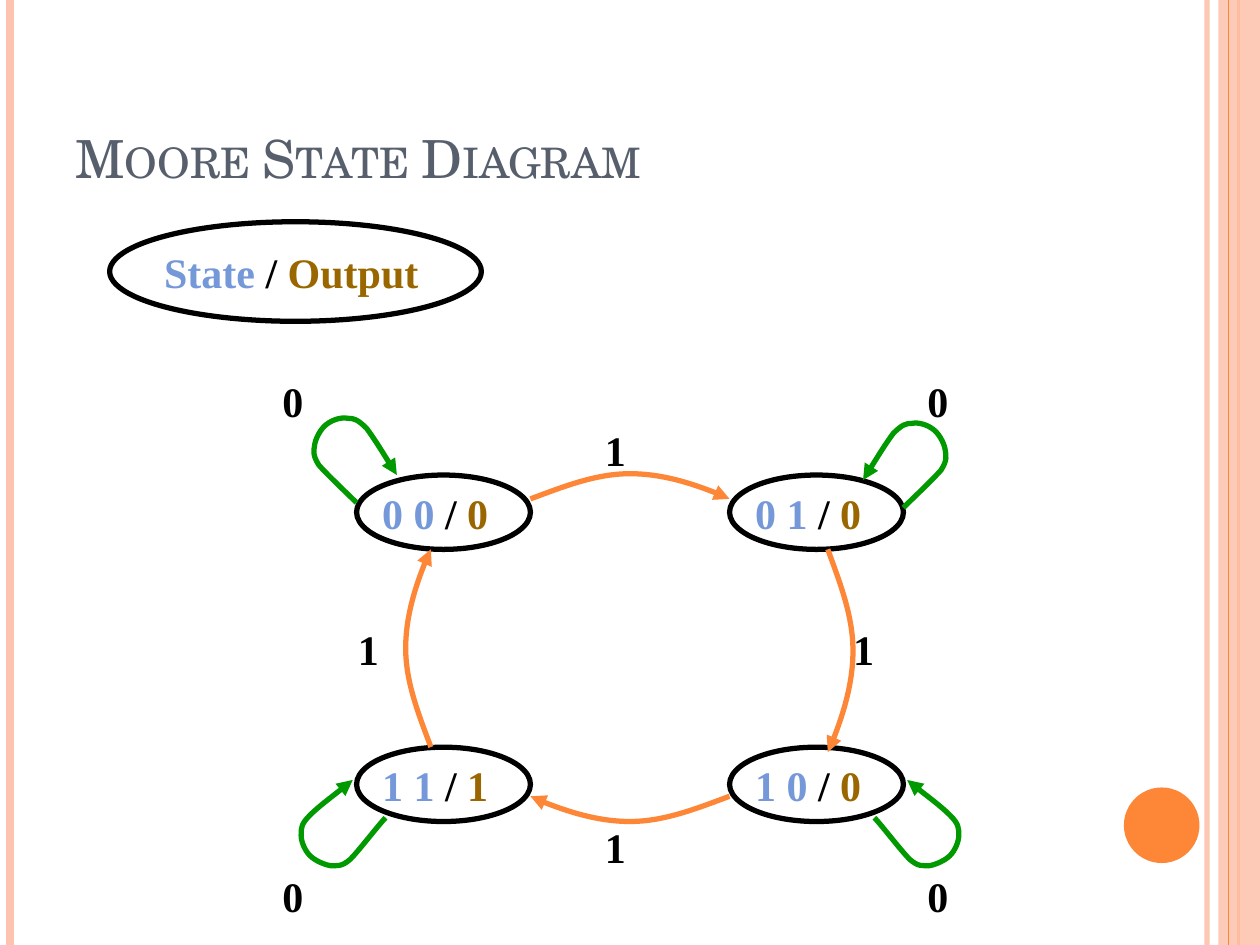
from math import hypot

from lxml.etree import SubElement
from pptx import Presentation
from pptx.dml.color import RGBColor
from pptx.enum.shapes import MSO_CONNECTOR, MSO_SHAPE
from pptx.enum.text import MSO_ANCHOR, PP_ALIGN
from pptx.oxml.ns import qn
from pptx.util import Inches, Pt

ORANGE = RGBColor(0xFE, 0x86, 0x37)
PEACH = RGBColor(0xFE, 0xC3, 0xAE)
SLATE = RGBColor(0x57, 0x5F, 0x6D)
BLUE = RGBColor(0x75, 0x98, 0xD9)
BROWN = RGBColor(0x99, 0x66, 0x00)
GREEN = RGBColor(0x00, 0x99, 0x00)
BLACK = RGBColor(0x00, 0x00, 0x00)

TITLE_FONT = "TeX Gyre Schola"
BODY_FONT = "Times New Roman"

# Loop curves at the left states: start point, then three points per Bezier
TOP_LOOP = [
    (0.59, 1.01), (0.54, 0.96), (0.35, 0.78), (0.29, 0.71), (0.24, 0.63),
    (0.25, 0.6), (0.26, 0.54), (0.27, 0.49), (0.31, 0.42), (0.35, 0.39),
    (0.4, 0.35), (0.47, 0.33), (0.52, 0.34), (0.57, 0.34), (0.6, 0.35),
    (0.67, 0.42), (0.73, 0.5), (0.86, 0.71), (0.91, 0.79),
]
BOTTOM_LOOP = [
    (0.82, 3.51), (0.77, 3.56), (0.61, 3.77), (0.54, 3.84), (0.47, 3.9),
    (0.44, 3.89), (0.38, 3.89), (0.33, 3.88), (0.26, 3.85), (0.22, 3.81),
    (0.18, 3.77), (0.15, 3.7), (0.15, 3.65), (0.15, 3.59), (0.15, 3.56),
    (0.22, 3.49), (0.29, 3.42), (0.49, 3.27), (0.56, 3.21),
]
# Arc points as (share of the chord, share of the bulge)
ARC = [(0, 0), (0.17, 0.5), (0.33, 1), (0.5, 1), (0.67, 1), (0.92, 0.33), (1, 0)]


def set_opacity(element, percent):
    color = next(element.iter(qn("a:srgbClr")))
    SubElement(color, qn("a:alpha"), val=str(percent * 1000))


def add_stripe(slide, x, height, color, width, opacity=None):
    line = slide.shapes.add_connector(
        MSO_CONNECTOR.STRAIGHT, Inches(x), 0, Inches(x), Inches(height))
    line.line.color.rgb = color
    line.line.width = Pt(width)
    properties = line._element.spPr
    if opacity:
        set_opacity(properties, opacity)
    SubElement(properties, qn("a:effectLst"))


def add_solid(slide, kind, left, top, width, height, color):
    shape = slide.shapes.add_shape(
        kind, Inches(left), Inches(top), Inches(width), Inches(height))
    shape.shadow.inherit = False
    shape.fill.solid()
    shape.fill.fore_color.rgb = color
    shape.line.fill.background()
    return shape


def write_runs(frame, runs):
    frame.word_wrap = True
    frame.margin_left = frame.margin_right = 0
    frame.margin_top = frame.margin_bottom = 0
    paragraph = frame.paragraphs[0]
    paragraph.alignment = PP_ALIGN.LEFT
    for text, color in runs:
        run = paragraph.add_run()
        run.text = text
        run.font.name = BODY_FONT
        run.font.size = Pt(24)
        run.font.bold = True
        run.font.color.rgb = color


def add_state(slide, left, top, width, height, state, output):
    ellipse = slide.shapes.add_shape(
        MSO_SHAPE.OVAL, Inches(left), Inches(top), Inches(width), Inches(height))
    ellipse.shadow.inherit = False
    ellipse.fill.background()
    ellipse.line.color.rgb = BLACK
    ellipse.line.width = Pt(3)
    ellipse.text_frame.vertical_anchor = MSO_ANCHOR.MIDDLE
    write_runs(ellipse.text_frame,
               [(state + " ", BLUE), ("/ ", BLACK), (output, BROWN)])


def add_label(slide, left, top, text):
    box = slide.shapes.add_textbox(
        Inches(left), Inches(top), Inches(0.39), Inches(0.36))
    write_runs(box.text_frame, [(text, BLACK)])


def add_curve(slide, points, color):
    """Draw an arrow along Bezier points: a start, then three per segment."""
    start, *others = [(Inches(x), Inches(y)) for x, y in points]
    builder = slide.shapes.build_freeform(*start)
    builder.add_line_segments(others, close=False)
    curve = builder.convert_to_shape()
    curve.shadow.inherit = False
    curve.fill.background()
    curve.line.color.rgb = color
    curve.line.width = Pt(3)
    SubElement(curve.line._get_or_add_ln(), qn("a:tailEnd"), type="triangle")

    # Merge each three line segments into one cubic segment
    segments = list(curve._element.iter(qn("a:lnTo")))
    for first, second, third in zip(segments[::3], segments[1::3], segments[2::3]):
        first.tag = qn("a:cubicBezTo")
        for segment in (second, third):
            first.append(segment[0])
            segment.getparent().remove(segment)


def arc_points(start, end, bulge=0.2):
    """Bend to the left of the direction of travel."""
    (x, y), dx, dy = start, end[0] - start[0], end[1] - start[1]
    length = hypot(dx, dy)
    return [(x + dx * along + dy / length * bulge * out,
             y + dy * along - dx / length * bulge * out) for along, out in ARC]


def add_frame(slide, width, height):
    # Stripes at both edges and the round badge
    add_stripe(slide, width - 0.42, height, PEACH, 3, 93)
    add_stripe(slide, 0.08, height, PEACH, 4.5)
    add_stripe(slide, width - 0.17, height, ORANGE, 1.5)
    band = add_solid(slide, MSO_SHAPE.RECTANGLE, width - 0.33, 0, 0.33, height, PEACH)
    set_opacity(band._element.spPr, 87)
    add_stripe(slide, width - 0.25, height, ORANGE, 0.75)
    add_solid(slide, MSO_SHAPE.OVAL, width - 1.08, height - 1.25, 0.6, 0.6, ORANGE)


def add_title(slide, left, top, width, height):
    box = slide.shapes.add_textbox(
        Inches(left), Inches(top), Inches(width), Inches(height))
    frame = box.text_frame
    frame.word_wrap = True
    frame.vertical_anchor = MSO_ANCHOR.BOTTOM
    run = frame.paragraphs[0].add_run()
    run.text = "Moore State Diagram"
    run.font.name = TITLE_FONT
    run.font.size = Pt(30)
    run.font.color.rgb = SLATE
    run.font._element.set("cap", "small")


def add_diagram(slide, left, top, width):
    def place(points):
        return [(left + x, top + y) for x, y in points]

    def mirror(points, drop=0):
        return [(width - x, y + drop) for x, y in points]

    # States
    for x, y, state, output in [(0.59, 0.79, "0 0", "0"), (3.55, 0.79, "0 1", "0"),
                                (0.59, 2.95, "1 1", "1"), (3.55, 2.95, "1 0", "0")]:
        add_state(slide, left + x, top + y, 1.38, 0.59, state, output)

    # Transitions on 1, clockwise
    for start, end in [((1.97, 0.98), (3.55, 0.98)), ((4.33, 1.38), (4.33, 2.99)),
                       ((3.55, 3.34), (1.97, 3.34)), ((1.18, 2.95), (1.18, 1.38))]:
        add_curve(slide, place(arc_points(start, end)), ORANGE)
    for x, y in [(2.56, 0.39), (4.53, 1.97), (2.56, 3.54), (0.6, 1.97)]:
        add_label(slide, left + x, top + y, "1")

    # Self loops on 0
    for loop in (TOP_LOOP, mirror(TOP_LOOP, 0.04), BOTTOM_LOOP, mirror(BOTTOM_LOOP)):
        add_curve(slide, place(loop), GREEN)
    for x in (0, width - 0.4):
        for y in (0, 3.93):
            add_label(slide, left + x, top + y, "0")


def main():
    presentation = Presentation()
    presentation.slide_width = Inches(10)
    presentation.slide_height = Inches(7.5)
    slide = presentation.slides.add_slide(presentation.slide_layouts[6])
    add_frame(slide, 10, 7.5)
    add_title(slide, 0.5, 0.3, 8.42, 1.25)
    add_state(slide, 0.87, 1.76, 2.95, 0.79, "State", "Output")
    add_diagram(slide, 2.24, 2.98, 5.52)
    presentation.save("out.pptx")


if __name__ == "__main__":
    main()
